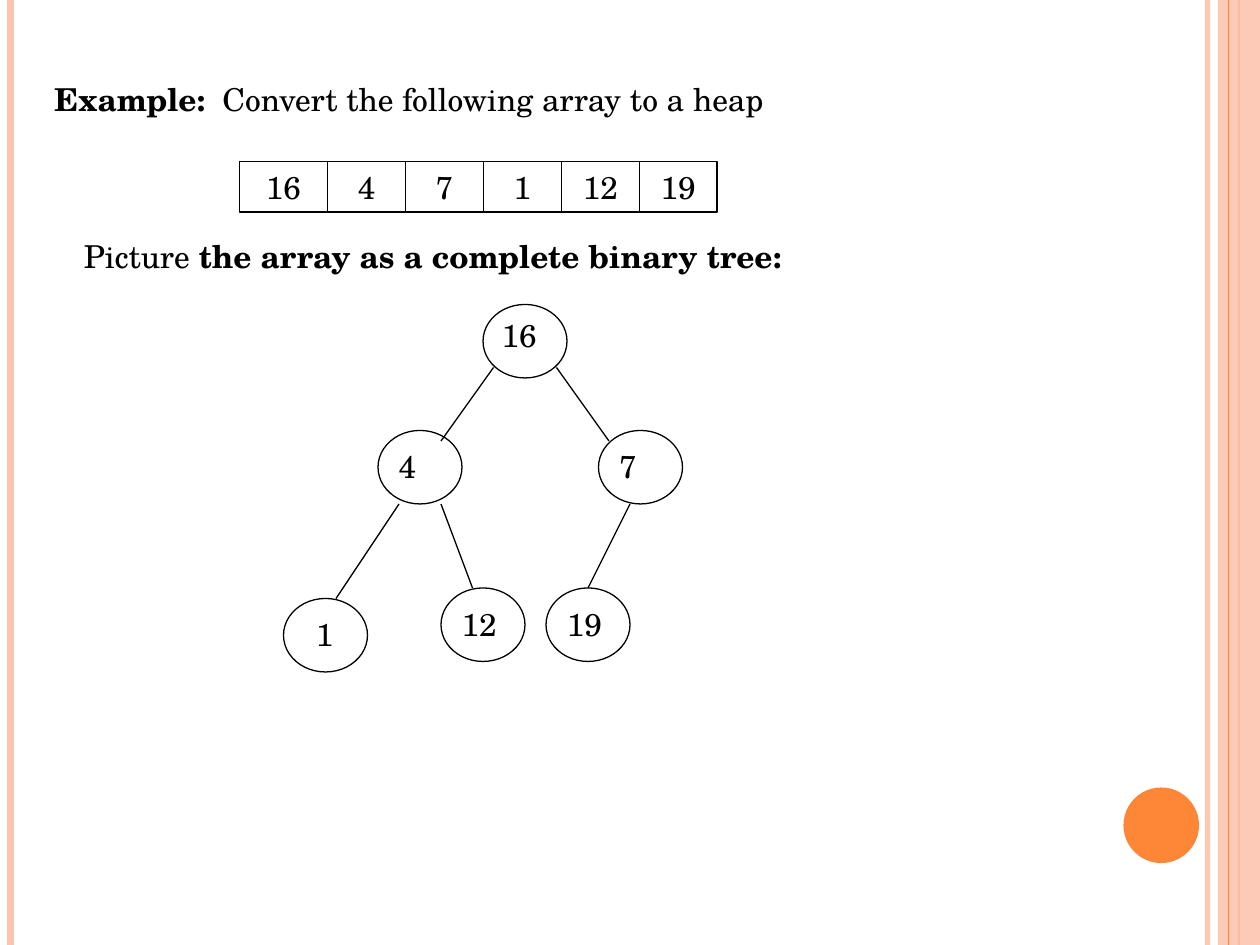
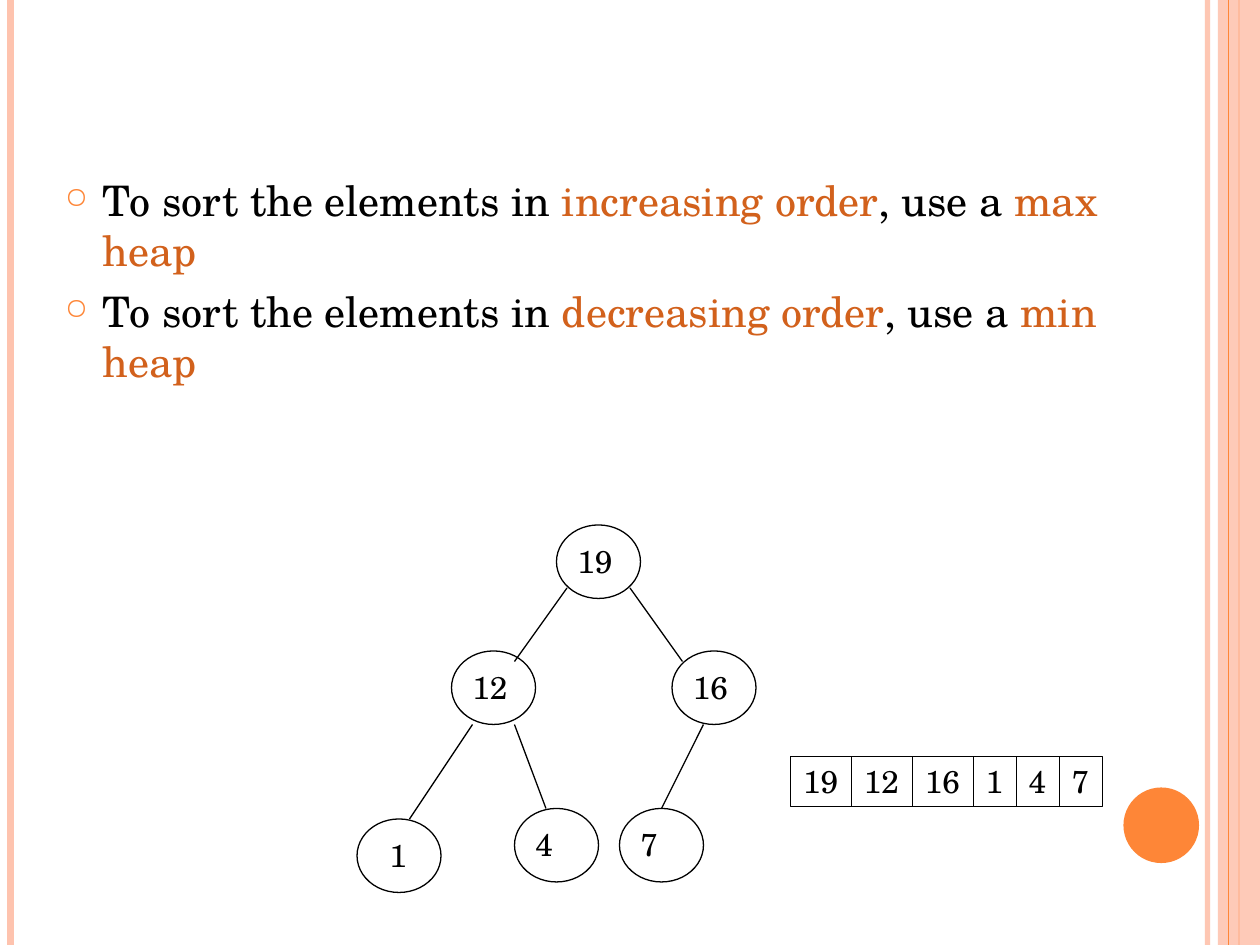
from dataclasses import dataclass

from lxml import etree
from pptx import Presentation
from pptx.dml.color import RGBColor
from pptx.enum.shapes import MSO_CONNECTOR, MSO_SHAPE
from pptx.enum.text import PP_ALIGN
from pptx.oxml.ns import qn
from pptx.util import Inches, Pt

RECTANGLE = MSO_SHAPE.RECTANGLE
OVAL = MSO_SHAPE.OVAL
STRAIGHT = MSO_CONNECTOR.STRAIGHT
LEFT = PP_ALIGN.LEFT
CENTER = PP_ALIGN.CENTER

COLUMNS = 120
ROWS = 90
NODE_WIDTH, NODE_HEIGHT = 8, 7
LINE_HEIGHT = 4.8

NODE_OFFSETS = [(0, 0), (-10, 12), (11, 12), (-19, 28), (-4, 27), (6, 27)]
EDGES = [
    (1, 6, -4, 13),
    (-8, 19, -14, 28),
    (-4, 19, -1, 27),
    (7, 6, 12, 13),
    (14, 19, 10, 27),
]
LABEL_SHIFT = (0.8, 1)
LEAF_SHIFT = (1.9, 1)


@dataclass(frozen=True)
class Theme:
    font: str = "TeX Gyre Schola"
    ink: str = "000000"
    band: str = "FEC3AE"
    accent: str = "FE8637"
    highlight: str = "D2611C"
    text_size: float = 18
    bullet_size: float = 24
    outline: float = 0.75
    hairline: float = 0.25


@dataclass(frozen=True)
class Span:
    text: str
    bold: bool = False
    highlighted: bool = False


def number_width(number):
    return 2.4 + 1.7 * len(str(number))


def set_opacity(fill_parent, percent):
    color = fill_parent.find(".//" + qn("a:srgbClr"))
    etree.SubElement(color, qn("a:alpha"), val=str(percent * 1000))


class Deck:
    def __init__(self, theme):
        self.theme = theme
        self.presentation = Presentation()
        self.presentation.slide_width = Inches(10)
        self.presentation.slide_height = Inches(7.5)
        self.slide = None

    def x(self, columns):
        return round(self.presentation.slide_width * columns / COLUMNS)

    def y(self, rows):
        return round(self.presentation.slide_height * rows / ROWS)

    def box(self, left, top, width, height):
        return self.x(left), self.y(top), self.x(width), self.y(height)

    def add_slide(self):
        layout = self.presentation.slide_layouts[6]
        self.slide = self.presentation.slides.add_slide(layout)
        self.add_bands()

    def add_bands(self):
        theme = self.theme
        self.add_rule(115, theme.band, 3, opacity=93)
        self.add_rule(1, theme.band, 4.5)
        self.add_rule(118, theme.accent, 1.5)
        band = self.add_shape(RECTANGLE, 116, 0, 4, ROWS, fill=theme.band)
        set_opacity(band._element.spPr, 87)
        self.add_rule(117, theme.accent, 0.75)
        self.add_shape(OVAL, 107, 75, 7.2, 7.2, fill=theme.accent)

    def add_rule(self, column, color, width, opacity=100):
        rule = self.add_line(column, 0, column, ROWS, color, width)
        if opacity < 100:
            set_opacity(rule._element.spPr, opacity)

    def add_line(self, x1, y1, x2, y2, color, width):
        connector = self.slide.shapes.add_connector(
            STRAIGHT, self.x(x1), self.y(y1), self.x(x2), self.y(y2))
        connector.line.color.rgb = RGBColor.from_string(color)
        connector.line.width = Pt(width)
        etree.SubElement(connector._element.spPr, qn("a:effectLst"))
        return connector

    def add_shape(self, kind, left, top, width, height, fill=None, outline=None):
        shape = self.slide.shapes.add_shape(kind, *self.box(left, top, width, height))
        shape.shadow.inherit = False
        if fill:
            shape.fill.solid()
            shape.fill.fore_color.rgb = RGBColor.from_string(fill)
        else:
            shape.fill.background()
        if outline:
            shape.line.color.rgb = RGBColor.from_string(self.theme.ink)
            shape.line.width = Pt(outline)
        else:
            shape.line.fill.background()
        return shape

    def add_spans(self, paragraph, spans, size, align=LEFT):
        paragraph.alignment = align
        for span in spans:
            run = paragraph.add_run()
            run.text = span.text
            run.font.name = self.theme.font
            run.font.size = Pt(size)
            run.font.bold = span.bold
            color = self.theme.highlight if span.highlighted else self.theme.ink
            run.font.color.rgb = RGBColor.from_string(color)

    def add_text(self, left, top, width, height, spans, wrap=True, tab=None):
        shape = self.slide.shapes.add_textbox(*self.box(left, top, width, height))
        shape.text_frame.word_wrap = wrap
        paragraph = shape.text_frame.paragraphs[0]
        if tab:
            stops = etree.SubElement(paragraph._p.get_or_add_pPr(), qn("a:tabLst"))
            etree.SubElement(stops, qn("a:tab"), pos=str(self.x(tab)), algn="l")
        self.add_spans(paragraph, spans, self.theme.text_size)

    def add_bullets(self, left, top, width, height, items):
        shape = self.slide.shapes.add_textbox(*self.box(left, top, width, height))
        frame = shape.text_frame
        frame.word_wrap = True
        for index, spans in enumerate(items):
            paragraph = frame.add_paragraph() if index else frame.paragraphs[0]
            properties = paragraph._p.get_or_add_pPr()
            properties.set("marL", str(Inches(0.3)))
            properties.set("indent", str(-Inches(0.3)))
            color = etree.SubElement(properties, qn("a:buClr"))
            etree.SubElement(color, qn("a:srgbClr"), val=self.theme.accent)
            etree.SubElement(properties, qn("a:buSzPct"), val="70000")
            etree.SubElement(properties, qn("a:buChar"), char="○")
            paragraph.space_before = Pt(6 if index else 0)
            self.add_spans(paragraph, spans, self.theme.bullet_size)

    def add_array(self, left, top, numbers, widths, outline):
        for number, width in zip(numbers, widths):
            cell = self.add_shape(RECTANGLE, left, top, width, LINE_HEIGHT, outline=outline)
            cell.text_frame.word_wrap = False
            self.add_spans(cell.text_frame.paragraphs[0], [Span(str(number))],
                           self.theme.text_size, CENTER)
            left += width

    def add_tree(self, left, top, numbers, root_shift=LABEL_SHIFT):
        shifts = [root_shift, LABEL_SHIFT, LABEL_SHIFT, LEAF_SHIFT, LABEL_SHIFT, LABEL_SHIFT]
        for number, (dx, dy), (shift_x, shift_y) in zip(numbers, NODE_OFFSETS, shifts):
            self.add_shape(OVAL, left + dx, top + dy, NODE_WIDTH, NODE_HEIGHT,
                           outline=self.theme.outline)
            self.add_text(left + dx + shift_x, top + dy + shift_y, number_width(number),
                          LINE_HEIGHT, [Span(str(number))], wrap=False)
        for x1, y1, x2, y2 in EDGES:
            self.add_line(left + x1, top + y1, left + x2, top + y2,
                          self.theme.ink, self.theme.outline)


def build_example(deck):
    numbers = [16, 4, 7, 1, 12, 19]
    deck.add_slide()
    deck.add_text(4, 7, 112, LINE_HEIGHT, [
        Span("Example:", bold=True),
        Span("\tConvert the following array to a heap"),
    ], tab=16)
    deck.add_array(22.8, 15.4, numbers, [8.4] + [7.42] * 5, deck.theme.outline)
    deck.add_text(6.8, 22, 111, LINE_HEIGHT, [
        Span("Picture "),
        Span("the array as a complete binary tree:", bold=True),
    ])
    deck.add_tree(46, 29, numbers, root_shift=(0.6, 0.5))


def build_sorting(deck):
    numbers = [19, 12, 16, 1, 4, 7]
    orders = [("increasing order", "max heap"), ("decreasing order", "min heap")]
    deck.add_slide()
    deck.add_bullets(5, 16, 108, 65, [
        [
            Span("To sort the elements in "),
            Span(order, highlighted=True),
            Span(", use a "),
            Span(heap, highlighted=True),
        ]
        for order, heap in orders
    ])
    deck.add_tree(53, 50, numbers)
    deck.add_array(75.25, 72, numbers, map(number_width, numbers), deck.theme.hairline)


def main():
    deck = Deck(Theme())
    build_example(deck)
    build_sorting(deck)
    deck.presentation.save("out.pptx")


if __name__ == "__main__":
    main()
